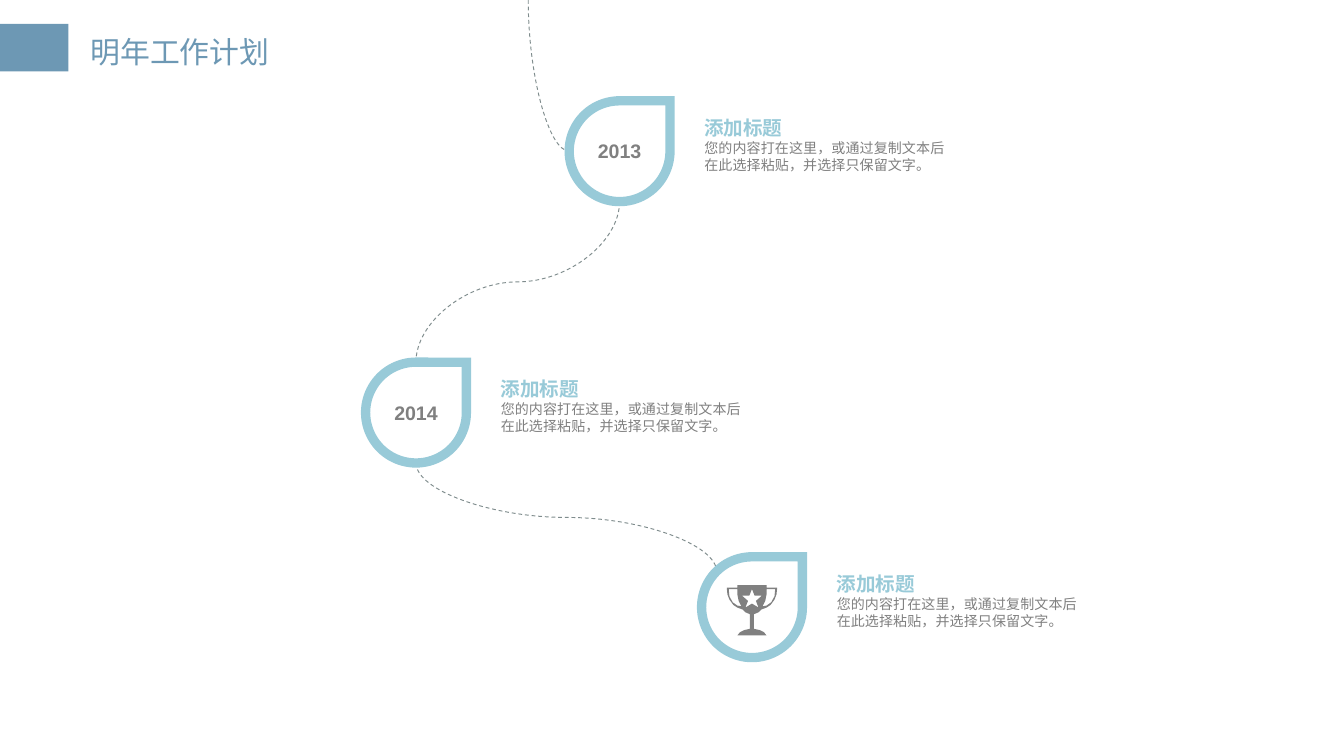
from lxml.etree import SubElement
from pptx import Presentation
from pptx.dml.color import RGBColor
from pptx.enum.dml import MSO_LINE
from pptx.enum.shapes import MSO_CONNECTOR, MSO_SHAPE
from pptx.enum.text import MSO_ANCHOR, PP_ALIGN
from pptx.oxml.ns import qn
from pptx.util import Inches, Pt

COLORS = {"title": "6D98B4", "accent": "98CAD8", "text": "808080", "route": "7F8C8D", "white": "FFFFFF"}
CELL = Inches(0.1)
LATIN, CHINESE = "Arial", "Noto Sans CJK SC"
MARKER = 7.5
HEADING = "添加标题"
BODY = "您的内容打在这里，或通过复制文本后在此选择粘贴，并选择只保留文字。"
MILESTONES = [(42.35, 7.5, "2013"), (27.2, 26.95, "2014"), (52.2, 41.43, None)]
CUP_HALF = [(0, 0), (22, 0), (22, 4), (38, 4), (37, 14), (34, 22), (28, 30), (22, 34), (14, 37), (10, 41),
            (3, 44), (3, 66), (12, 68), (18, 71), (22, 76), (0, 76)]
HANDLE = [(22, 6), (35, 6), (34, 17), (29, 26), (22, 31), (16, 32), (20, 24), (22, 14)]
STAR_HALF = [(0, 6), (4, 16), (15, 16), (6, 24), (10, 34), (0, 28)]


def cells(*values):
    """Convert grid cells to slide lengths."""
    return [round(value * CELL) for value in values]


def color(name):
    """Return a palette colour."""
    return RGBColor.from_string(COLORS[name])


def paint(shape, fill, line=None, width=0):
    """Give a shape its fill and sharp-cornered outline, without a shadow."""
    shape.shadow.inherit = False
    shape.fill.solid()
    shape.fill.fore_color.rgb = color(fill)
    if line:
        shape.line.color.rgb = color(line)
        shape.line.width = Pt(width)
        SubElement(shape.line._ln, qn("a:miter")).set("lim", "800000")
    else:
        shape.line.fill.background()


def style(paragraph, size, name, bold=False, latin=LATIN):
    """Format the runs of a paragraph."""
    for run in paragraph.runs:
        run.font.size = Pt(size)
        run.font.bold = bold
        run.font.color.rgb = color(name)
        run.font.name = latin
        SubElement(run.font._element, qn("a:ea")).set("typeface", CHINESE)


def add_header(slide, left, top, height):
    """Place the header block and the slide title."""
    block = slide.shapes.add_shape(MSO_SHAPE.RECTANGLE, *cells(left, top, 5.1, height))
    paint(block, "title")
    title = slide.shapes.title
    title.left, title.top, title.width, title.height = cells(left + 5.95, top + 0.3, 15, height)
    frame = title.text_frame
    frame.text = "明年工作计划"
    frame.word_wrap = False
    frame.vertical_anchor = MSO_ANCHOR.TOP
    frame.margin_left = frame.margin_right = Inches(0.08)
    frame.margin_top = frame.margin_bottom = Inches(0.04)
    frame.paragraphs[0].alignment = PP_ALIGN.LEFT
    style(frame.paragraphs[0], 16, "title", latin=CHINESE)


def add_route(slide, start, end, bend=False):
    """Draw a dashed curve that leaves its start downwards."""
    (x1, y1), (x2, y2) = start, end
    middle_x, middle_y = (x1 + x2) / 2, (y1 + y2) / 2
    half_width, half_height = (y2 - y1) / 2, abs(x2 - x1) / 2
    side = 1 if x2 > x1 else -1
    route = slide.shapes.add_connector(MSO_CONNECTOR.CURVE, *cells(
        middle_x + side * half_width, middle_y - half_height,
        middle_x - side * half_width, middle_y + half_height))
    properties = route._element.spPr
    properties.find(qn("a:xfrm")).set("rot", str((270 if side > 0 else 90) * 60000))
    if bend:
        properties.find(qn("a:prstGeom")).set("prst", "curvedConnector2")
    route.line.color.rgb = color("route")
    route.line.width = Pt(0.5)
    route.line.dash_style = MSO_LINE.DASH
    SubElement(properties, qn("a:effectLst"))


def mirror(points):
    """Flip points about the vertical axis."""
    return [(-x, y) for x, y in points]


def add_trophy(slide, left, top, size):
    """Draw a trophy with open handles and a star cut out."""
    cup, star = (half + mirror(half)[::-1] for half in (CUP_HALF, STAR_HALF))
    builder = slide.shapes.build_freeform(*cup[0], scale=size * CELL / 76)
    builder.add_line_segments(cup[1:])
    for outline in (HANDLE, mirror(HANDLE), star):
        builder.move_to(*outline[0])
        builder.add_line_segments(outline[1:])
    paint(builder.convert_to_shape(*cells(left + size / 2, top)), "text")


def add_milestone(slide, left, top, year):
    """Place a drop marker with its year or trophy and its description."""
    drop = slide.shapes.add_shape(MSO_SHAPE.TEAR, *cells(left, top, MARKER, MARKER))
    paint(drop, "white", "accent", 5)
    if year:
        drop.text_frame.text = year
        drop.text_frame.vertical_anchor = MSO_ANCHOR.MIDDLE
        label = drop.text_frame.paragraphs[0]
        label.alignment = PP_ALIGN.CENTER
        style(label, 10.5, "text", bold=True)
    else:
        add_trophy(slide, left + MARKER / 4, top + 2.1, MARKER / 2)
    frame = slide.shapes.add_textbox(*cells(left + 9.08, top + 0.62, 20.6, 5.3)).text_frame
    frame.word_wrap = True
    heading, body = frame.paragraphs[0], frame.add_paragraph()
    heading.text, body.text = HEADING, BODY
    style(heading, 10.5, "accent", bold=True)
    style(body, 7.5, "text")


def add_timeline(slide):
    """Join the milestones with curves and place them."""
    first, second, third = [(left, top) for left, top, _ in MILESTONES]
    half, corner = MARKER / 2, MARKER * 0.15
    add_route(slide, (39.3, 0), (first[0], first[1] + half), bend=True)
    add_route(slide, (first[0] + half, first[1] + MARKER), (second[0] + half, second[1]))
    add_route(slide, (second[0] + half, second[1] + MARKER), (third[0] + corner, third[1] + corner))
    for milestone in MILESTONES:
        add_milestone(slide, *milestone)


def main():
    """Build and save the plan slide."""
    presentation = Presentation()
    presentation.slide_width = Inches(10)
    presentation.slide_height = presentation.slide_width * 9 // 16
    presentation.element.sldSz.attrib.pop("type", None)
    slide = presentation.slides.add_slide(presentation.slide_layouts[5])
    add_header(slide, 0, 1.77, 3.55)
    add_timeline(slide)
    presentation.save("out.pptx")


if __name__ == "__main__":
    main()
